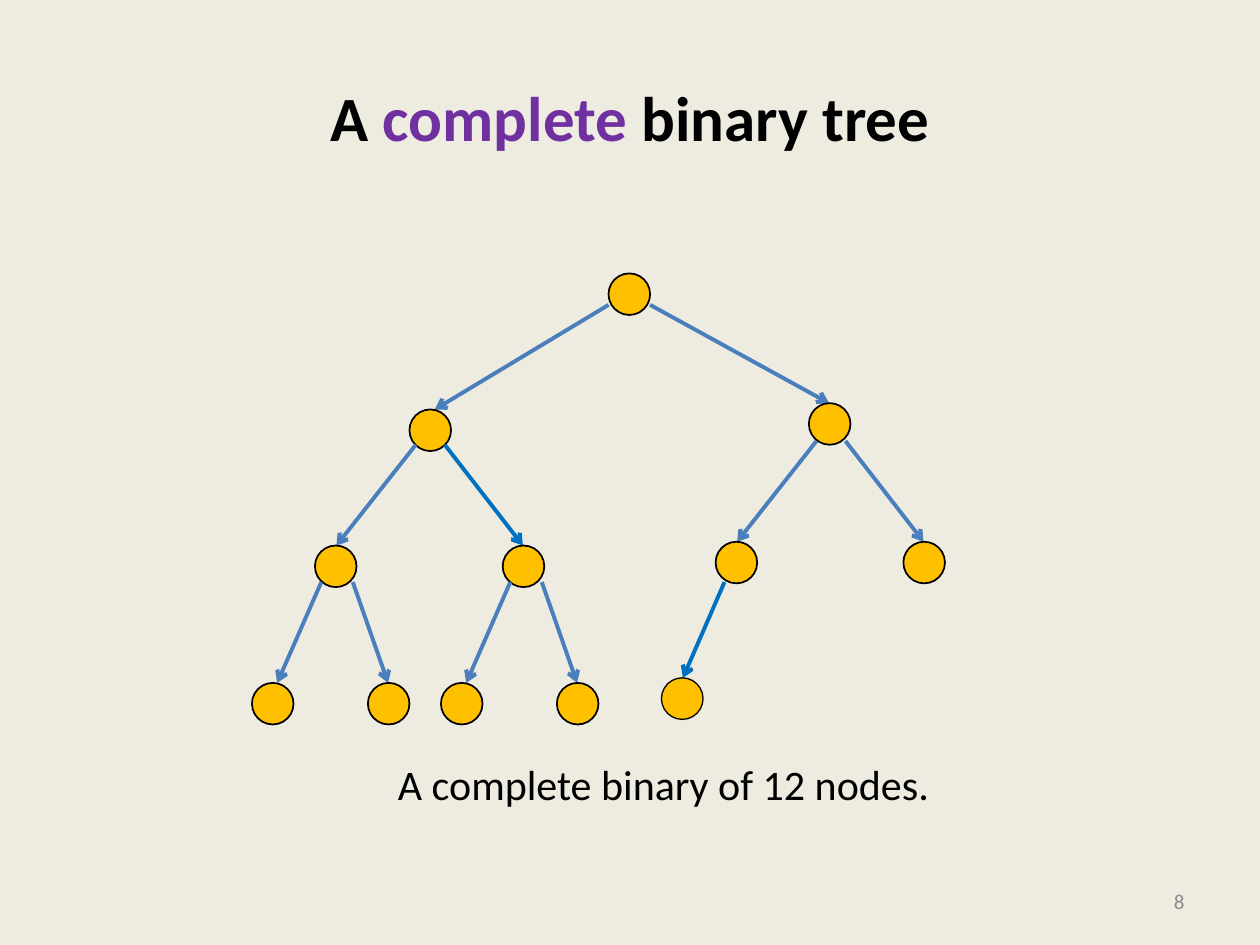
from lxml import etree
from pptx import Presentation
from pptx.dml.color import RGBColor
from pptx.enum.shapes import MSO_CONNECTOR, MSO_SHAPE
from pptx.enum.text import MSO_ANCHOR, PP_ALIGN
from pptx.oxml.ns import qn
from pptx.util import Inches, Pt

STRAIGHT = MSO_CONNECTOR.STRAIGHT
OVAL = MSO_SHAPE.OVAL
MIDDLE = MSO_ANCHOR.MIDDLE
LEFT, CENTER, RIGHT = PP_ALIGN.LEFT, PP_ALIGN.CENTER, PP_ALIGN.RIGHT

BACKGROUND = RGBColor(0xEE, 0xEC, 0xE1)
BLACK = RGBColor(0, 0, 0)
PURPLE = RGBColor(0x70, 0x30, 0xA0)
GRAY = RGBColor(0x8C, 0x8C, 0x8C)
GOLD = RGBColor(0xFF, 0xC0, 0x00)
STEEL = RGBColor(0x4B, 0x7E, 0xBC)
BLUE = RGBColor(0x00, 0x70, 0xC0)

FONT = "Calibri"
NODE_SIZE = 0.33

ROOT = (4.83, 2.17)
# Node left and top, edge start, x of the arrow tip, edge colour, outline width
CHILDREN = [
    (3.25, 3.25, (4.83, 2.42), 3.45, STEEL, 1),
    (6.42, 3.2, (5.16, 2.42), 6.58, STEEL, 1),
    (2.5, 4.33, (3.3, 3.53), 2.67, STEEL, 1),
    (3.99, 4.33, (3.53, 3.53), 4.15, BLUE, 1),
    (5.68, 4.3, (6.48, 3.5), 5.85, STEEL, 1),
    (7.17, 4.3, (6.71, 3.5), 7.33, STEEL, 1),
    (2, 5.42, (2.55, 4.62), 2.2, STEEL, 1),
    (2.92, 5.42, (2.8, 4.62), 3.08, STEEL, 1),
    (3.5, 5.42, (4.05, 4.62), 3.7, STEEL, 1),
    (4.42, 5.42, (4.3, 4.62), 4.58, STEEL, 1),
    (5.25, 5.38, (5.75, 4.62), 5.42, BLUE, 0.75),
]


class TreeSlide:
    def __init__(self, prs):
        self.slide = prs.slides.add_slide(prs.slide_layouts[6])
        fill = self.slide.background.fill
        fill.solid()
        fill.fore_color.rgb = BACKGROUND

    def text(self, box, runs, size, align=LEFT, bold=False):
        """Add one paragraph of (text, colour) runs, centred vertically in box."""
        sp = self.slide.shapes.add_textbox(*map(Inches, box))
        tf = sp.text_frame
        tf.word_wrap = True
        tf.vertical_anchor = MIDDLE
        p = tf.paragraphs[0]
        p.alignment = align
        for content, color in runs:
            r = p.add_run()
            r.text = content
            r.font.name = FONT
            r.font.size = Pt(size)
            r.font.bold = bold
            r.font.color.rgb = color

    def node(self, left, top, outline=1):
        sp = self.slide.shapes.add_shape(
            OVAL, Inches(left), Inches(top), Inches(NODE_SIZE), Inches(NODE_SIZE))
        sp.shadow.inherit = False
        sp.fill.solid()
        sp.fill.fore_color.rgb = GOLD
        sp.line.color.rgb = BLACK
        sp.line.width = Pt(outline)

    def arrow(self, start, end, color):
        cx = self.slide.shapes.add_connector(
            STRAIGHT, *map(Inches, (*start, *end)))
        cx.line.color.rgb = color
        cx.line.width = Pt(2.25)
        etree.SubElement(cx.line._get_or_add_ln(), qn("a:tailEnd"), type="arrow")
        etree.SubElement(cx._element.spPr, qn("a:effectLst"))


def main():
    prs = Presentation()
    prs.slide_width, prs.slide_height = Inches(10), Inches(7.5)
    s = TreeSlide(prs)

    s.text((0.5, 0.3, 9, 1.25),
           [("A ", BLACK), ("complete ", PURPLE), ("binary tree", BLACK)],
           36, CENTER, bold=True)
    s.node(*ROOT)
    for left, top, start, tip, color, outline in CHILDREN:
        s.arrow(start, (tip, top), color)
        s.node(left, top, outline)
    s.text((3.06, 5.97, 5, 0.5), [("A complete binary of 12 nodes.", BLACK)], 24)
    s.text((7.17, 6.95, 2.33, 0.4), [("8", GRAY)], 12, RIGHT)

    prs.save("out.pptx")


if __name__ == "__main__":
    main()
